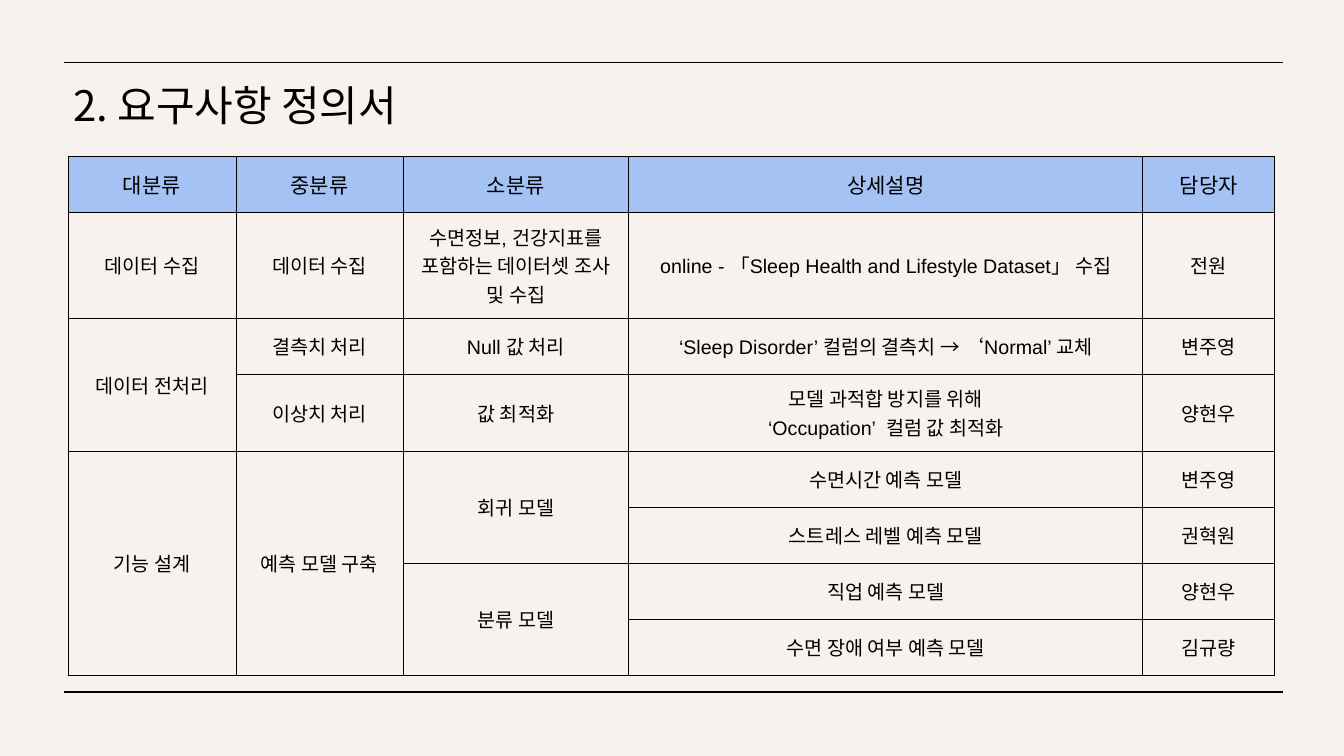
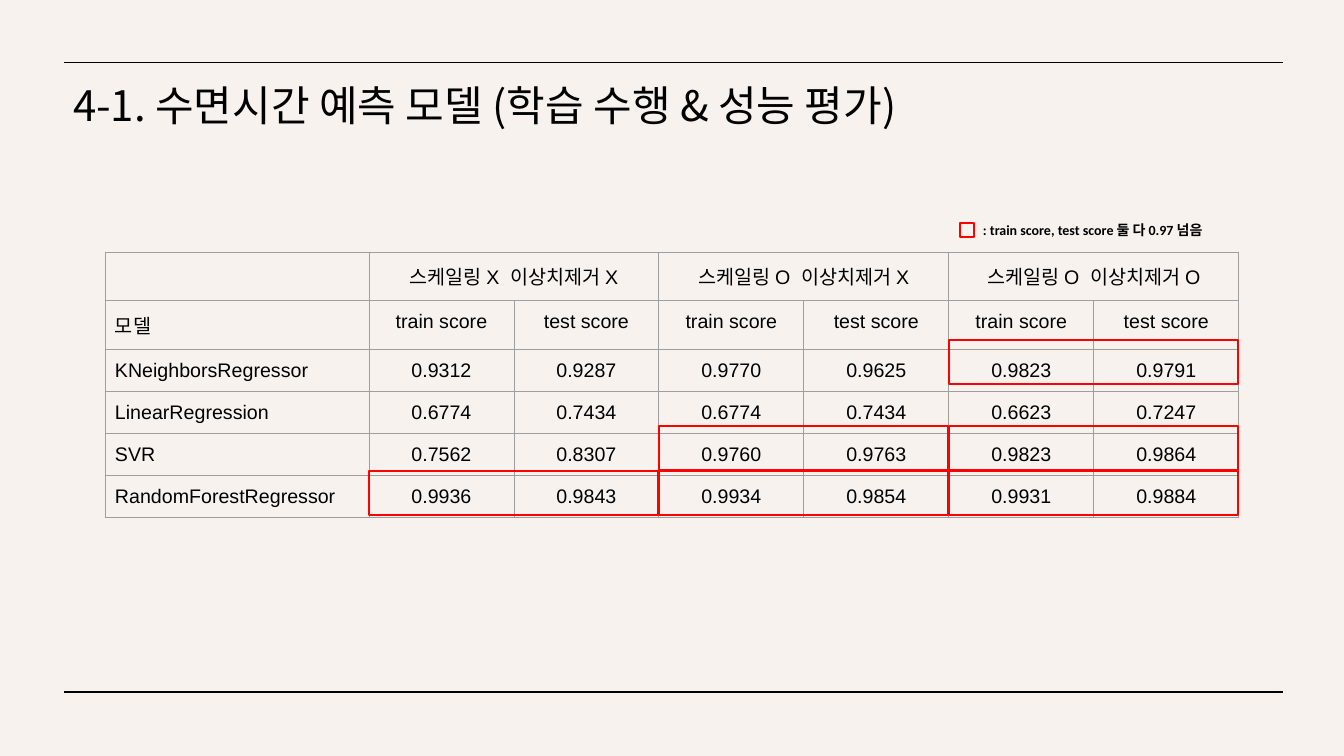
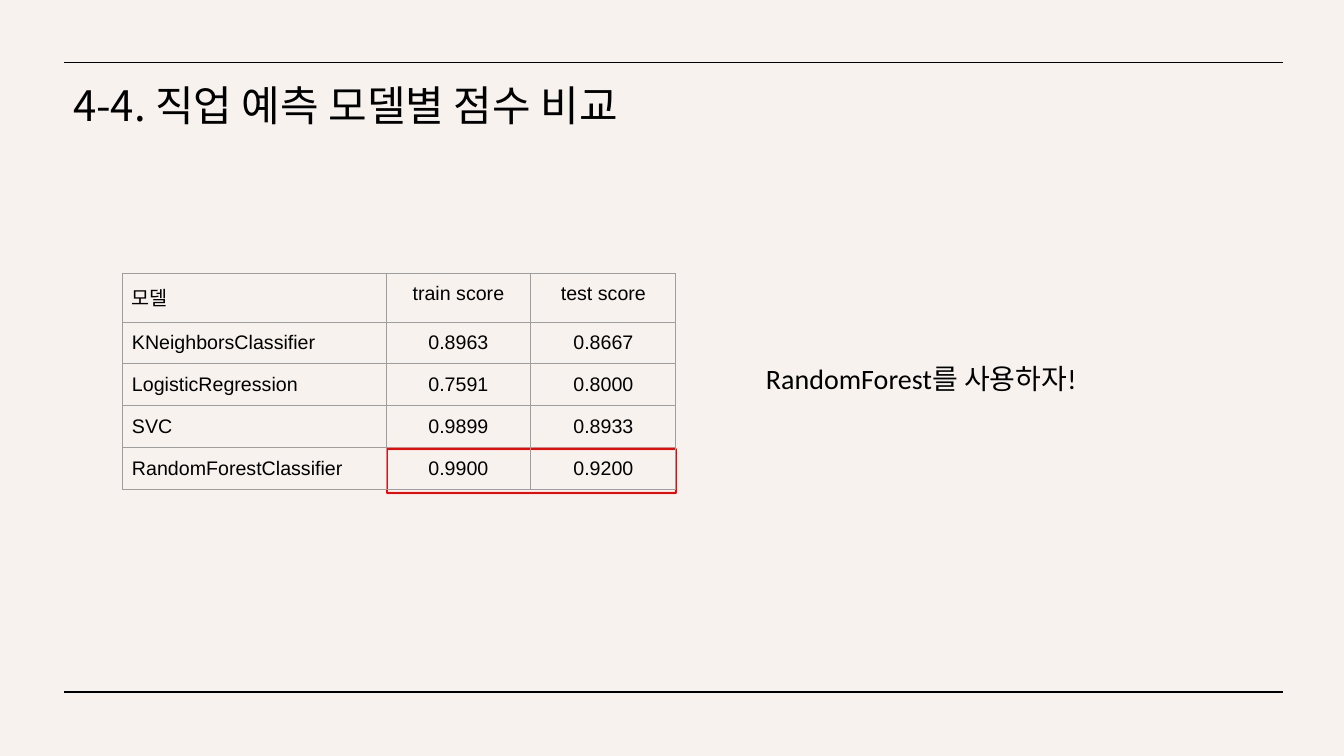
from lxml import etree
from pptx import Presentation
from pptx import util as u
from pptx.dml.color import RGBColor
from pptx.enum import shapes, text
from pptx.oxml import ns

EMU_PER_PX = 914400 / 100.8
PAPER, BLACK, GRAY, RED, BLUE = "F7F2EE", "000000", "9E9E9E", "FF0000", "A4C2F4"
TITLE_FONT, TABLE_FONT, NOTE_FONT = "Noto Sans CJK KR", "Arial", "Calibri"
LEFT, CENTER = text.PP_ALIGN.LEFT, text.PP_ALIGN.CENTER
TOP, MIDDLE = text.MSO_ANCHOR.TOP, text.MSO_ANCHOR.MIDDLE
RULE_LEFT, RULE_RIGHT, RULE_TOPS = 64, 1283, (63, 692)
TITLE_BOX = (63, 79, 1218, 57)
PAD = 10
NAME_W, SCORE_W, HEAD_H, SCORE_H = 264, 145, 49, 42
MARK_SIZE = (289, 44)

# A cell is a string, or a list of (text, font) runs. Cells under a span stay empty.
REQUIREMENTS = [
    ["대분류", "중분류", "소분류", "상세설명", "담당자"],
    ["데이터 수집", "데이터 수집", "수면정보, 건강지표를 포함하는 데이터셋 조사 및 수집",
     [("online - ", TABLE_FONT), ("「", NOTE_FONT),
      ("Sleep Health and Lifestyle Dataset", TABLE_FONT), ("」 수집", NOTE_FONT)], "전원"],
    ["데이터 전처리", "결측치 처리", "Null 값 처리",
     "‘Sleep Disorder’ 컬럼의 결측치 → ‘Normal’ 교체", "변주영"],
    ["", "이상치 처리", "값 최적화",
     "모델 과적합 방지를 위해\n‘Occupation’  컬럼 값 최적화", "양현우"],
    ["기능 설계", "예측 모델 구축", "회귀 모델", "수면시간 예측 모델", "변주영"],
    ["", "", "", "스트레스 레벨 예측 모델", "권혁원"],
    ["", "", "분류 모델", "직업 예측 모델", "양현우"],
    ["", "", "", "수면 장애 여부 예측 모델", "김규량"],
]
REQUIREMENT_SPANS = [(2, 0, 2, 1), (4, 0, 4, 1), (4, 1, 4, 1), (4, 2, 2, 1), (6, 2, 2, 1)]
REQUIREMENT_COLS = [168, 167, 226, 514, 132]
REQUIREMENT_ROWS = [56, 106, 56, 77, 56, 56, 56, 56]

SCORE_HEAD = ["train score", "test score"]
SLEEP_SCORES = [
    ["", "스케일링 X  이상치제거 X", "", "스케일링 O  이상치제거 X", "",
     "스케일링 O  이상치제거 O", ""],
    ["모델"] + SCORE_HEAD * 3,
    ["KNeighborsRegressor", "0.9312", "0.9287", "0.9770", "0.9625", "0.9823", "0.9791"],
    ["LinearRegression", "0.6774", "0.7434", "0.6774", "0.7434", "0.6623", "0.7247"],
    ["SVR", "0.7562", "0.8307", "0.9760", "0.9763", "0.9823", "0.9864"],
    ["RandomForestRegressor", "0.9936", "0.9843", "0.9934", "0.9854", "0.9931", "0.9884"],
]
SLEEP_SPANS = [(0, col, 1, 2) for col in (1, 3, 5)]
# (score group, top) of each pair of scores above 0.97
SLEEP_MARKS = [(0, 471), (1, 426), (1, 471), (2, 340), (2, 426), (2, 471)]

JOB_SCORES = [
    ["모델"] + SCORE_HEAD,
    ["KNeighborsClassifier", "0.8963", "0.8667"],
    ["LogisticRegression", "0.7591", "0.8000"],
    ["SVC", "0.9899", "0.8933"],
    ["RandomForestClassifier", "0.9900", "0.9200"],
]


def px(n):
    return u.Emu(round(n * EMU_PER_PX))


def rgb(color):
    return RGBColor.from_string(color)


def set_font(font, name, size, bold=False):
    font.name, font.size, font.bold = name, u.Pt(size), bold
    font.color.rgb = rgb(BLACK)


def add_slide(prs, title):
    """Add a slide with the two rules and the title."""
    s = prs.slides.add_slide(prs.slide_layouts[5])
    for y in RULE_TOPS:
        rule = s.shapes.add_connector(shapes.MSO_CONNECTOR.STRAIGHT,
                                      px(RULE_LEFT), px(y), px(RULE_RIGHT), px(y))
        rule.line.color.rgb, rule.line.width = rgb(BLACK), u.Pt(0.75)
        etree.SubElement(rule._element.spPr, ns.qn("a:effectLst"))
    sp = s.shapes.title
    sp.left, sp.top, sp.width, sp.height = map(px, TITLE_BOX)
    tf = sp.text_frame
    tf.text = title
    tf.auto_size, tf.vertical_anchor = text.MSO_AUTO_SIZE.NONE, MIDDLE
    p = tf.paragraphs[0]
    p.alignment, p.line_spacing = LEFT, 0.9
    set_font(p.font, TITLE_FONT, 30)
    return s


def set_borders(cell, color):
    tc_pr = cell._tc.get_or_add_tcPr()
    for i, side in enumerate(("lnL", "lnR", "lnT", "lnB")):
        ln = etree.Element(ns.qn(f"a:{side}"), w=str(u.Pt(0.75)))
        fill = etree.SubElement(ln, ns.qn("a:solidFill"))
        etree.SubElement(fill, ns.qn("a:srgbClr"), val=color)
        tc_pr.insert(i, ln)


def write_cell(cell, content, size, align, anchor):
    cell.margin_left = cell.margin_right = cell.margin_top = cell.margin_bottom = px(PAD)
    cell.vertical_anchor = anchor
    tf = cell.text_frame
    if isinstance(content, str):
        tf.text = content
    else:
        for run_text, font in content:
            r = tf.paragraphs[0].add_run()
            r.text, r.font.name = run_text, font
    for p in tf.paragraphs:
        p.alignment = align
        set_font(p.font, TABLE_FONT, size)


def add_table(s, left, top, cols, rows, cells, spans=(), border=GRAY,
              head_fill=None, head_size=14, first_align=LEFT, anchor=TOP):
    table = s.shapes.add_table(len(rows), len(cols), px(left), px(top),
                               px(sum(cols)), px(sum(rows))).table
    table.first_row = table.horz_banding = False
    for col, width in zip(table.columns, cols):
        col.width = px(width)
    for row, height in zip(table.rows, rows):
        row.height = px(height)
    for i, j, down, across in spans:
        table.cell(i, j).merge(table.cell(i + down - 1, j + across - 1))
    for i, row in enumerate(cells):
        for j, content in enumerate(row):
            cell = table.cell(i, j)
            write_cell(cell, content, 14 if i else head_size,
                       CENTER if j else first_align, anchor)
            if head_fill and i == 0:
                cell.fill.solid()
                cell.fill.fore_color.rgb = rgb(head_fill)
            else:
                cell.fill.background()
            set_borders(cell, border)


def add_mark(s, left, top, width, height):
    """Outline an area in red."""
    sp = s.shapes.add_shape(shapes.MSO_SHAPE.RECTANGLE, *map(px, (left, top, width, height)))
    sp.shadow.inherit = False
    sp.fill.background()
    sp.line.color.rgb, sp.line.width = rgb(RED), u.Pt(1.5)


def add_note(s, box, content, size, bold=False):
    tf = s.shapes.add_textbox(*map(px, box)).text_frame
    tf.word_wrap = True
    tf.margin_left = tf.margin_right = tf.margin_top = tf.margin_bottom = px(PAD)
    tf.text = content
    set_font(tf.paragraphs[0].font, NOTE_FONT, size, bold)


def main():
    prs = Presentation()
    prs.slide_width, prs.slide_height = px(1344), px(756)
    background = prs.slide_master.background.fill
    background.solid()
    background.fore_color.rgb = rgb(PAPER)

    s = add_slide(prs, "2. 요구사항 정의서")
    add_table(s, 68, 156, REQUIREMENT_COLS, REQUIREMENT_ROWS, REQUIREMENTS,
              REQUIREMENT_SPANS, border=BLACK, head_fill=BLUE, head_size=15,
              first_align=CENTER, anchor=MIDDLE)

    s = add_slide(prs, "4-1. 수면시간 예측 모델 (학습 수행 & 성능 평가)")
    left = 105
    add_table(s, left, 252, [NAME_W] + [SCORE_W] * 6, [48, HEAD_H] + [SCORE_H] * 4,
              SLEEP_SCORES, SLEEP_SPANS)
    for group, top in SLEEP_MARKS:
        add_mark(s, left + NAME_W + 2 * SCORE_W * group, top, *MARK_SIZE)
    add_mark(s, 960, 223, 14, 14)
    add_note(s, (973, 213, 262, 29), ": train score, test score 둘 다 0.97 넘음", 10, bold=True)

    s = add_slide(prs, "4-4. 직업 예측 모델별 점수 비교")
    left = 122
    add_mark(s, left + NAME_W + 1, 449, *MARK_SIZE)
    add_table(s, left, 273, [NAME_W] + [SCORE_W] * 2, [HEAD_H] + [SCORE_H] * 4, JOB_SCORES)
    add_note(s, (756, 351, 355, 89), "RandomForest를 사용하자!", 20)

    prs.save("out.pptx")


if __name__ == "__main__":
    main()
